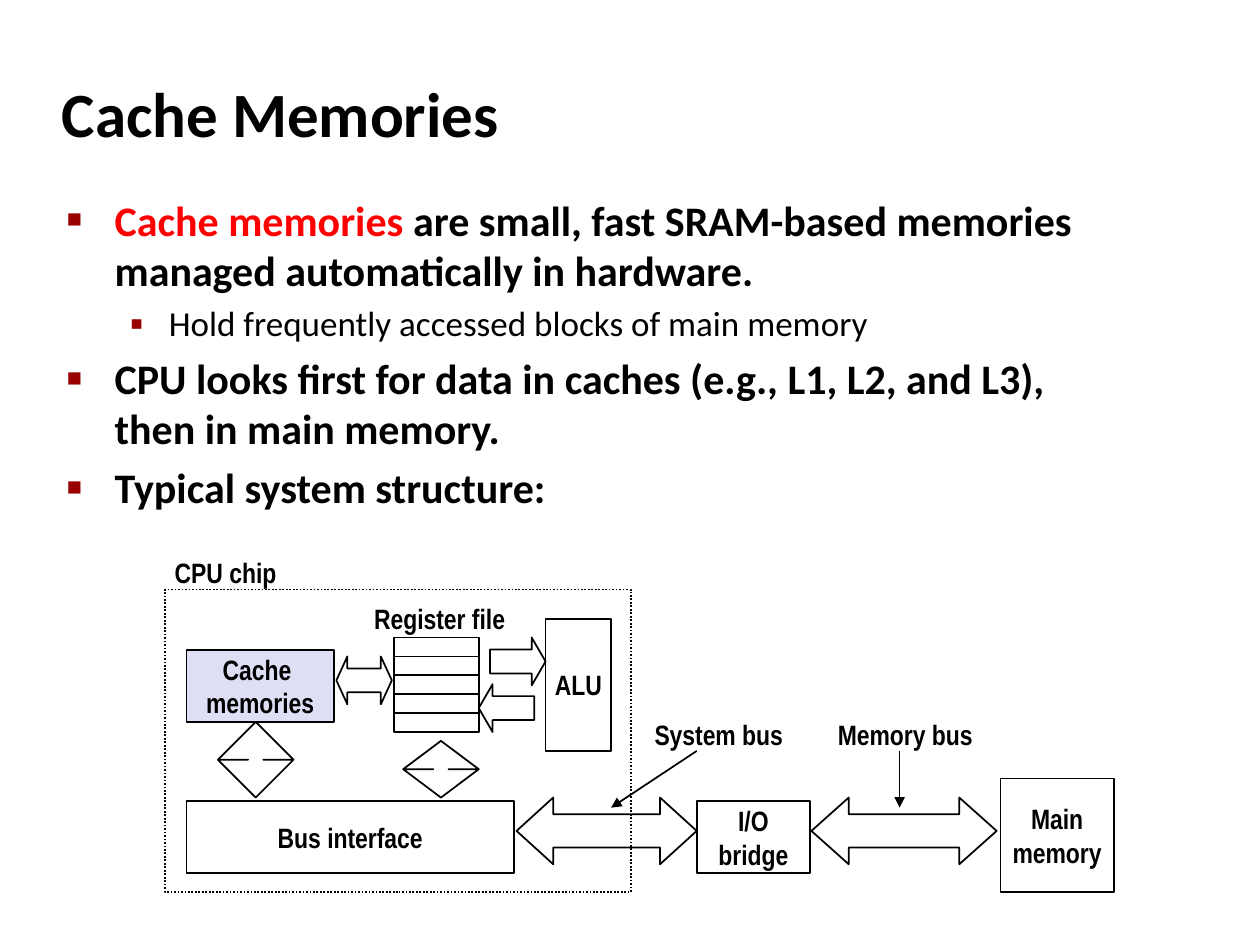
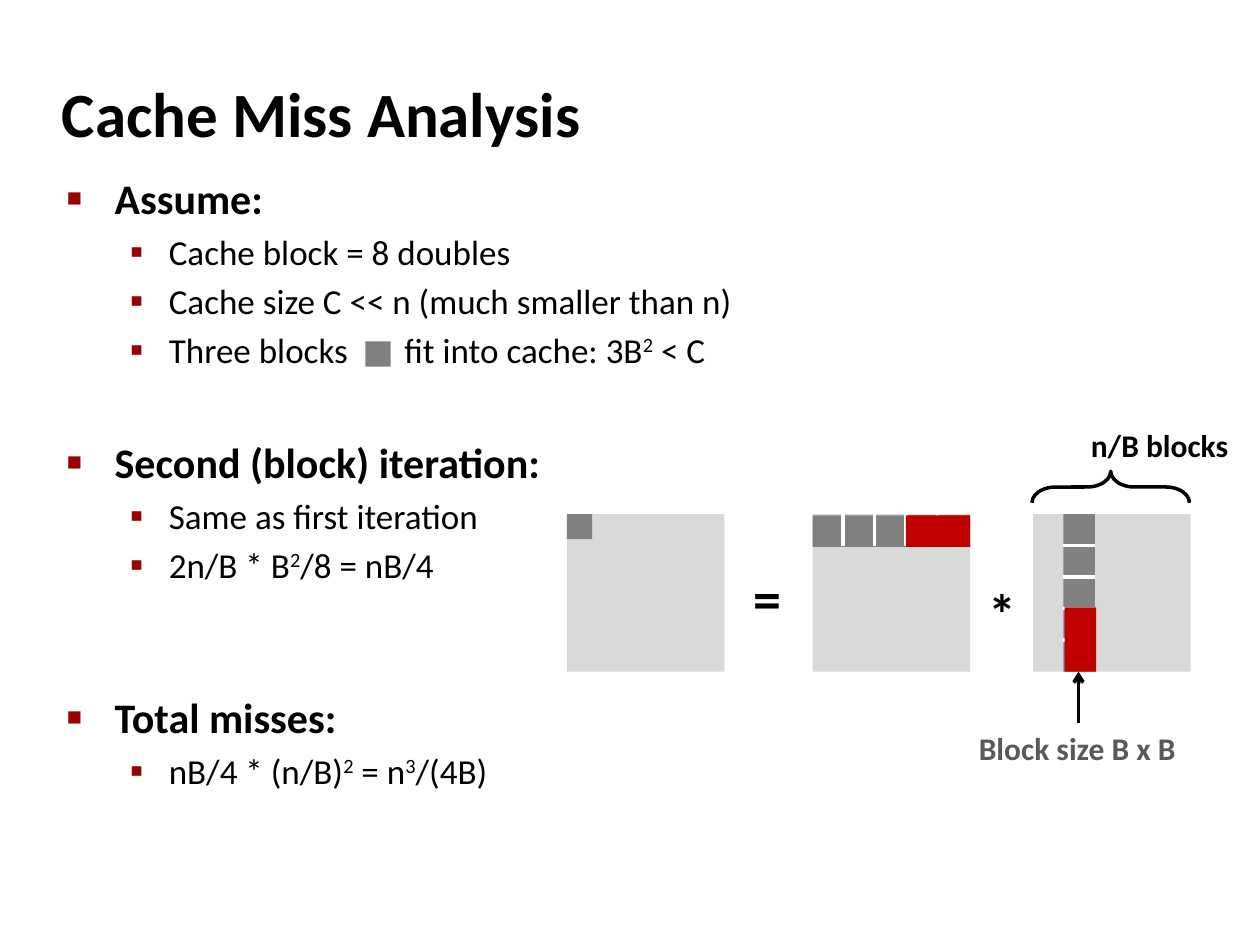
from lxml import etree
from pptx import Presentation
from pptx.dml.color import RGBColor
from pptx.enum.dml import MSO_LINE
from pptx.enum.shapes import MSO_CONNECTOR, MSO_SHAPE
from pptx.enum.text import MSO_ANCHOR, MSO_AUTO_SIZE, PP_ALIGN
from pptx.oxml.ns import qn
from pptx.util import Inches, Pt

RECTANGLE = MSO_SHAPE.RECTANGLE
LEFT_RIGHT = MSO_SHAPE.LEFT_RIGHT_ARROW
UP_DOWN = MSO_SHAPE.UP_DOWN_ARROW
RIGHT = MSO_SHAPE.RIGHT_ARROW
LEFT = MSO_SHAPE.LEFT_ARROW
BRACE = MSO_SHAPE.LEFT_BRACE
STRAIGHT = MSO_CONNECTOR.STRAIGHT
DOTTED = MSO_LINE.ROUND_DOT
MIDDLE, TOP = MSO_ANCHOR.MIDDLE, MSO_ANCHOR.TOP
ALIGN_LEFT, CENTER = PP_ALIGN.LEFT, PP_ALIGN.CENTER
NO_FIT, GROW = MSO_AUTO_SIZE.NONE, MSO_AUTO_SIZE.SHAPE_TO_FIT_TEXT

BODY_FONT, DIAGRAM_FONT = "Calibri", "Arial Narrow"
BLACK, WHITE, RED = "000000", "FFFFFF", "FF0000"
BULLET, LAVENDER = "990000", "DEDFF5"
MATRIX, BLOCK, MISS, CAPTION = "D9D9D9", "808080", "C00000", "595959"

# Per level: left margin, hanging indent, bullet, bullet size %, points, bold, space before
LEVELS = [
    (0.38, 0.38, "■", 60, 24, True, 4.8),
    (0.81, 0.31, "▪", 110, 20, False, 4),
]


def rgb(color):
    return RGBColor.from_string(color)


def set_font(font, name, size, color=BLACK, bold=True):
    font.name, font.size, font.bold = name, Pt(size), bold
    font.color.rgb = rgb(color)


def place(shape, left, top, width, height):
    shape.left, shape.top = Inches(left), Inches(top)
    shape.width, shape.height = Inches(width), Inches(height)


def add_child(parent, tag, **attributes):
    return etree.SubElement(parent, qn(tag), attributes)


def add_titled_slide(presentation, title, body_top, body_height):
    """Add a slide with its title set; return it with its empty body frame."""
    slide = presentation.slides.add_slide(presentation.slide_layouts[1])
    heading = slide.shapes.title
    place(heading, 0.39, 0.48, 8.3, 0.83)
    frame = heading.text_frame
    frame.text = title
    frame.vertical_anchor = MIDDLE
    frame.auto_size = NO_FIT
    frame.paragraphs[0].alignment = ALIGN_LEFT
    set_font(frame.paragraphs[0].font, BODY_FONT, 36)

    body = slide.placeholders[1]
    place(body, 0.43, body_top, 8.64, body_height)
    body.text_frame.auto_size = NO_FIT
    return slide, body.text_frame


def add_bullet(frame, level, *pieces, gap=None, tabs=()):
    """A piece is plain text, or a pair of text and "red" or "super"."""
    margin, hanging, bullet, bullet_size, size, bold, space = LEVELS[level]
    first = not frame.paragraphs[0].runs
    paragraph = frame.paragraphs[0] if first else frame.add_paragraph()
    paragraph.level = level
    paragraph.space_before = Pt(0 if first else gap or space)
    properties = paragraph._p.get_or_add_pPr()
    properties.set("marL", str(Inches(margin)))
    properties.set("indent", str(-Inches(hanging)))
    bullet_color = add_child(properties, "a:buClr")
    add_child(bullet_color, "a:srgbClr", val=BULLET)
    add_child(properties, "a:buSzPct", val=str(bullet_size * 1000))
    add_child(properties, "a:buChar", char=bullet)
    if tabs:
        tab_list = add_child(properties, "a:tabLst")
        for position in tabs:
            add_child(tab_list, "a:tab", pos=str(Inches(position)), algn="l")
    set_font(paragraph.font, BODY_FONT, size, bold=bold)
    for piece in pieces:
        text, style = (piece, None) if isinstance(piece, str) else piece
        run = paragraph.add_run()
        run.text = text
        if style == "red":
            run.font.color.rgb = rgb(RED)
        elif style == "super":
            run._r.get_or_add_rPr().set("baseline", "30000")


def write_lines(frame, text, font, size, color=BLACK, align=CENTER):
    frame.text = text
    frame.word_wrap = False
    for paragraph in frame.paragraphs:
        paragraph.alignment = align
        set_font(paragraph.font, font, size, color)


def add_figure(slide, kind, box, fill=None, line=None, adjust=(), width=1):
    shape = slide.shapes.add_shape(kind, *map(Inches, box))
    shape.shadow.inherit = False
    if fill:
        shape.fill.solid()
        shape.fill.fore_color.rgb = rgb(fill)
    else:
        shape.fill.background()
    if line:
        shape.line.color.rgb = rgb(line)
        shape.line.width = Pt(width)
    else:
        shape.line.fill.background()
    for index, value in enumerate(adjust):
        shape.adjustments[index] = value
    return shape


def add_unit(slide, text, box, fill=None):
    """Draw one outlined hardware unit with its name inside."""
    shape = add_figure(slide, RECTANGLE, box, fill, BLACK)
    shape.text_frame.vertical_anchor = MIDDLE
    write_lines(shape.text_frame, text, DIAGRAM_FONT, 16)


def add_label(slide, text, box, font, size, color=BLACK, align=ALIGN_LEFT, anchor=TOP):
    frame = slide.shapes.add_textbox(*map(Inches, box)).text_frame
    frame.vertical_anchor = anchor
    write_lines(frame, text, font, size, color, align)
    frame.auto_size = GROW


def add_line(slide, start, end, color=BLACK, width=1, arrowhead=None):
    connector = slide.shapes.add_connector(STRAIGHT, *map(Inches, start + end))
    connector.line.color.rgb = rgb(color)
    connector.line.width = Pt(width)
    properties = connector.element.spPr
    if arrowhead:
        add_child(properties.find(qn("a:ln")), "a:tailEnd", type=arrowhead)
    add_child(properties, "a:effectLst")


def draw_system_structure(slide):
    add_unit(slide, "Main\nmemory", (7.94, 6.18, 0.9, 0.9))
    add_unit(slide, "I/O\nbridge", (5.53, 6.36, 0.9, 0.57))
    add_unit(slide, "Bus interface", (1.48, 6.36, 2.6, 0.57))
    for register in range(5):
        box = (3.13, 5.06 + 0.15 * register, 0.67, 0.15)
        add_figure(slide, RECTANGLE, box, line=BLACK)
    add_unit(slide, "ALU", (4.33, 4.91, 0.52, 1.05))
    add_unit(slide, "Cache \nmemories", (1.48, 5.16, 1.17, 0.57), LAVENDER)

    chip = add_figure(slide, RECTANGLE, (1.31, 4.68, 3.7, 2.4), line=BLACK)
    chip.line.dash_style = DOTTED

    for kind, box, head in [
        (LEFT_RIGHT, (6.44, 6.33, 1.47, 0.53), 0.56),
        (LEFT_RIGHT, (4.1, 6.33, 1.43, 0.53), 0.55),
        (LEFT_RIGHT, (2.67, 5.21, 0.44, 0.38), 0.23),
        (RIGHT, (3.89, 5.06, 0.44, 0.38), 0.29),
        (LEFT, (3.8, 5.43, 0.44, 0.38), 0.29),
        (UP_DOWN, (3.2, 5.88, 0.6, 0.45), 0.2),
        (UP_DOWN, (1.73, 5.73, 0.6, 0.6), 0.2),
    ]:
        add_figure(slide, kind, box, line=BLACK, adjust=(0.5, head))

    for text, left, top, width in [
        ("Register file", 2.86, 4.72, 1.26),
        ("CPU chip", 1.28, 4.36, 1.02),
        ("System bus", 5.09, 5.64, 1.23),
        ("Memory bus", 6.54, 5.64, 1.29),
    ]:
        add_label(slide, text, (left, top, width, 0.37), DIAGRAM_FONT, 16,
                  align=CENTER, anchor=MIDDLE)
    add_line(slide, (5.53, 5.96), (4.85, 6.41), arrowhead="triangle")
    add_line(slide, (7.14, 5.96), (7.14, 6.41), arrowhead="triangle")


def draw_block_product(slide):
    """Draw result = row of blocks * column of blocks."""
    top, side, block = 4.08, 1.25, 0.25
    result_left, row_left, factor_left = 4.5, 6.45, 8.2
    column_left = 8.44
    for left in (result_left, row_left, factor_left):
        add_figure(slide, RECTANGLE, (left, top, side, side), MATRIX)
    add_label(slide, "*", (7.75, 4.54, 0.43, 0.64), BODY_FONT, 32)
    add_label(slide, "=", (5.88, 4.42, 0.43, 0.64), BODY_FONT, 32)

    add_figure(slide, RECTANGLE, (result_left, top, 0.2, 0.2), BLOCK)
    add_figure(slide, RECTANGLE, (row_left, top + 0.01, side, block), BLOCK)
    add_figure(slide, RECTANGLE, (column_left, top, block, side), BLOCK)
    for index in range(1, 5):
        x = row_left - 0.01 + block * index
        y = top + block * index
        add_line(slide, (x, top), (x, top + block), WHITE, 2)
        add_line(slide, (column_left, y), (column_left + block, y), WHITE, 2)
    add_figure(slide, RECTANGLE, (7.19, top + 0.01, 0.51, block), MISS)
    add_figure(slide, RECTANGLE, (column_left + 0.01, 4.82, block, 0.51), MISS)

    add_label(slide, "Block size B x B", (7.67, 5.74, 1.78, 0.4), BODY_FONT, 18, CAPTION)
    add_line(slide, (8.56, 5.74), (8.56, 5.33), width=2, arrowhead="arrow")
    brace = add_figure(slide, BRACE, (8.69, 3.24, block, side), line=BLACK,
                       adjust=(0.75, 0.5), width=2)
    brace.rotation = 90
    add_label(slide, "n/B blocks", (8.56, 3.33, 1.3, 0.4), BODY_FONT, 18)


def build_cache_memories(presentation):
    slide, body = add_titled_slide(presentation, "Cache Memories", 1.49, 5.44)
    add_bullet(body, 0, ("Cache memories ", "red"),
               "are small, fast SRAM-based memories managed automatically in hardware.")
    add_bullet(body, 1, "Hold frequently accessed blocks of main memory")
    add_bullet(body, 0, "CPU looks first for data in caches (e.g., L1, L2, and L3), "
                        "then in main memory.")
    add_bullet(body, 0, "Typical system structure:")
    draw_system_structure(slide)


def build_miss_analysis(presentation):
    slide, body = add_titled_slide(presentation, "Cache Miss Analysis", 1.32, 5.84)
    squared = ("2", "super")
    add_bullet(body, 0, "Assume:")
    add_bullet(body, 1, "Cache block = 8 doubles")
    add_bullet(body, 1, "Cache size C << n (much smaller than n)")
    # The two stops meet whether tabs count from the box or from the indent
    add_bullet(body, 1, "Three blocks\tfit into cache: 3B", squared, " < C",
               tabs=(1.87, 2.68))
    add_bullet(body, 0, "Second (block) iteration:", gap=38)
    add_bullet(body, 1, "Same as first iteration")
    add_bullet(body, 1, "2n/B * B", squared, "/8 = nB/4")
    add_bullet(body, 0, "Total misses:", gap=61)
    add_bullet(body, 1, "nB/4 * (n/B)", squared, " = n", ("3", "super"), "/(4B)")
    add_figure(slide, RECTANGLE, (2.9, 2.71, 0.2, 0.2), BLOCK)
    draw_block_product(slide)


def main():
    presentation = Presentation()
    presentation.slide_width, presentation.slide_height = Inches(10), Inches(7.5)
    build_cache_memories(presentation)
    build_miss_analysis(presentation)
    presentation.save("out.pptx")


if __name__ == "__main__":
    main()
